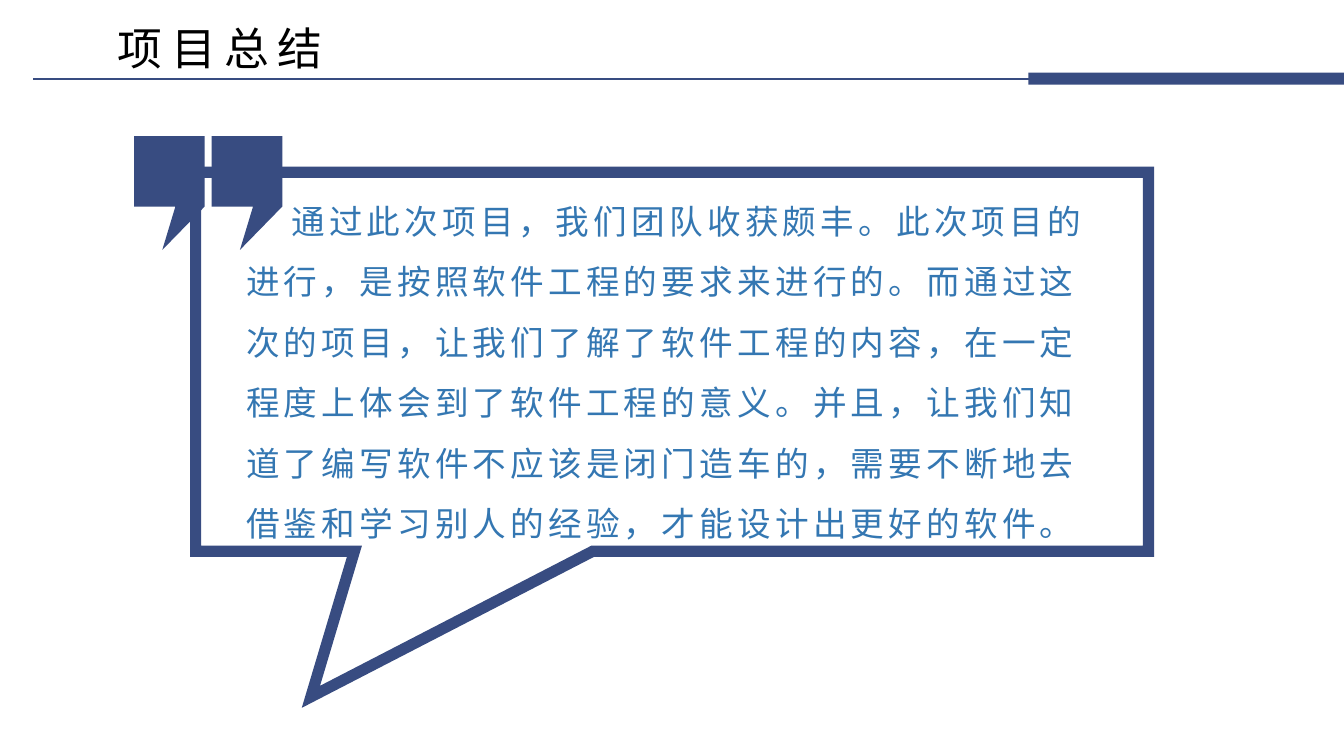
from lxml import etree
from pptx import Presentation
from pptx.dml.color import RGBColor
from pptx.enum.shapes import MSO_CONNECTOR as Connector, MSO_SHAPE as Shape
from pptx.enum.text import MSO_ANCHOR as Anchor, MSO_AUTO_SIZE as AutoSize, PP_ALIGN as Align
from pptx.oxml.ns import qn
from pptx.util import Inches, Pt

NAVY = RGBColor(0x38, 0x4C, 0x81)
BLUE = RGBColor(0x34, 0x77, 0xB2)
BLACK = RGBColor(0, 0, 0)
FONT = "Arial"
TITLE = "项目总结"
SUMMARY = (
    "通过此次项目，我们团队收获颇丰。此次项目的进行，是按照软件工程的要求来进行的。"
    "而通过这次的项目，让我们了解了软件工程的内容，在一定程度上体会到了软件工程的意义。"
    "并且，让我们知道了编写软件不应该是闭门造车的，需要不断地去借鉴和学习别人的经验，"
    "才能设计出更好的软件。"
)
# Outline of one quotation mark, from its top left corner
QUOTE_OUTLINE = [(0, 0), (0.7, 0), (0.7, 0.7), (0.28, 1.13), (0.41, 0.7), (0, 0.7)]
QUOTE_LEFTS = (1.33, 2.1)
QUOTE_TOP = 1.35


def write_text(shape, text, *, size, color, tracking, line_spacing, anchor, insets, indent=0):
    """Fill a shape with one left-aligned paragraph; insets run left, top, right, bottom."""
    frame = shape.text_frame
    frame.word_wrap = True
    frame.auto_size = AutoSize.NONE
    frame.vertical_anchor = anchor
    (frame.margin_left, frame.margin_top,
     frame.margin_right, frame.margin_bottom) = map(Inches, insets)
    para = frame.paragraphs[0]
    para.alignment = Align.LEFT
    para.line_spacing = line_spacing
    if indent:
        para._p.get_or_add_pPr().set("indent", str(Inches(indent)))
    span = para.add_run()
    span.text = text
    span.font.name = FONT
    span.font.size = Pt(size)
    span.font.color.rgb = color
    span._r.get_or_add_rPr().set("spc", str(tracking * 100))


def fill_navy(shape):
    shape.shadow.inherit = False
    shape.fill.solid()
    shape.fill.fore_color.rgb = NAVY
    shape.line.fill.background()


def add_title(page):
    title = page.shapes.title
    title.left, title.top = Inches(1.17), Inches(0.02)
    title.width, title.height = Inches(9.81), Inches(0.73)
    write_text(title, TITLE, size=32, color=BLACK, tracking=6, line_spacing=0.9,
               anchor=Anchor.BOTTOM, insets=(0, 0.05, 0, 0))


def add_header_rule(page):
    rule = page.shapes.add_connector(
        Connector.STRAIGHT, Inches(0.33), Inches(0.78), Inches(11.56), Inches(0.78))
    rule.line.color.rgb = NAVY
    rule.line.width = Pt(1.5)
    etree.SubElement(rule._element.spPr, qn("a:effectLst"))
    bar = page.shapes.add_shape(
        Shape.RECTANGLE, Inches(10.2), Inches(0.72), Inches(3.13), Inches(0.12))
    fill_navy(bar)


def add_callout(page):
    callout = page.shapes.add_shape(
        Shape.RECTANGULAR_CALLOUT, Inches(1.94), Inches(1.71), Inches(9.45), Inches(3.76))
    callout.adjustments[0] = -0.379
    callout.adjustments[1] = 0.884
    callout.shadow.inherit = False
    callout.fill.background()
    callout.line.color.rgb = NAVY
    callout.line.width = Pt(8)
    etree.SubElement(callout.line._get_or_add_ln(), qn("a:miter"), lim="800000")
    write_text(callout, SUMMARY, size=24, color=BLUE, tracking=3, line_spacing=1.5,
               anchor=Anchor.MIDDLE, insets=(0.5, 0.05, 0.5, 0.05), indent=0.45)


def add_quote_marks(page):
    builder = None
    for left in QUOTE_LEFTS:
        points = [(Inches(left + x), Inches(QUOTE_TOP + y)) for x, y in QUOTE_OUTLINE]
        if builder is None:
            builder = page.shapes.build_freeform(*points[0])
        else:
            builder.move_to(*points[0])
        builder.add_line_segments(points[1:], close=True)
    fill_navy(builder.convert_to_shape())


def main():
    deck = Presentation()
    deck.slide_width, deck.slide_height = Inches(13.33), Inches(7.5)
    title_only = deck.slide_layouts[5]
    page = deck.slides.add_slide(title_only)
    add_callout(page)
    add_quote_marks(page)
    add_header_rule(page)
    add_title(page)
    deck.save("out.pptx")


if __name__ == "__main__":
    main()
